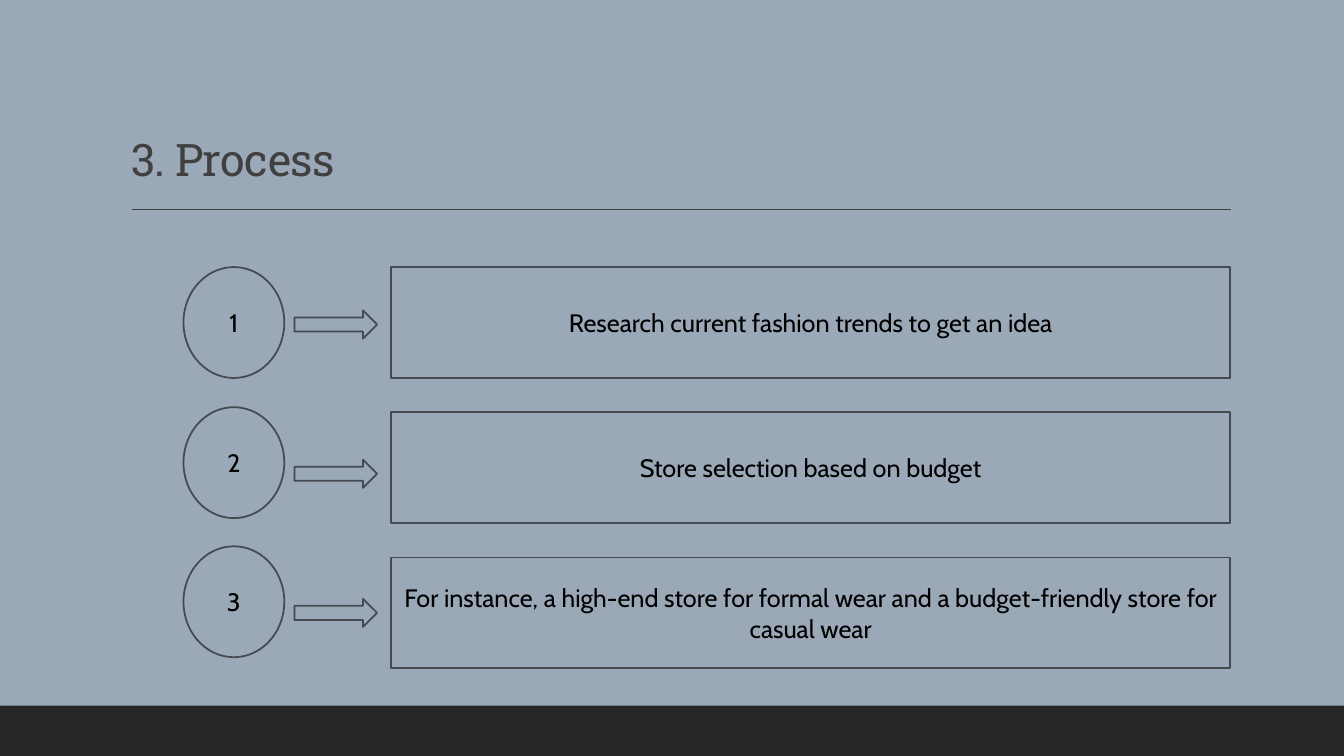
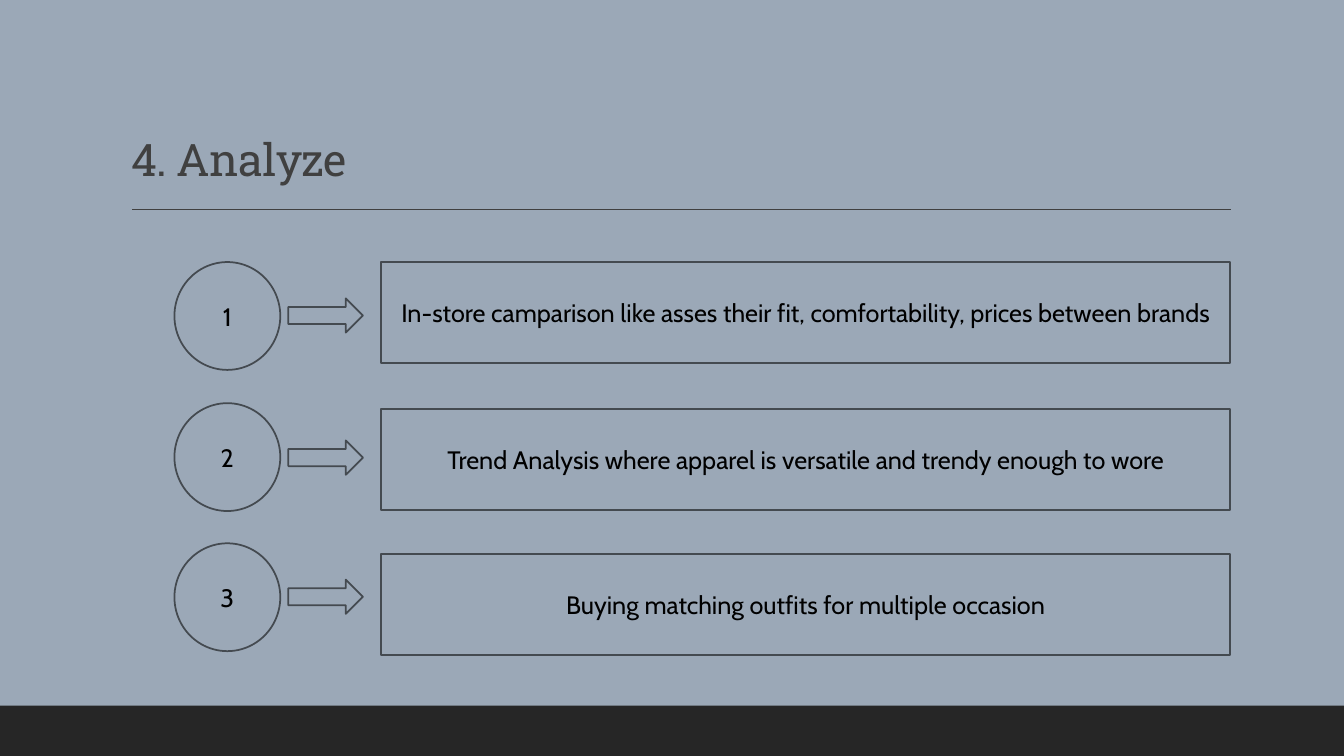
from pptx import Presentation
from pptx.dml.color import RGBColor
from pptx.enum.shapes import MSO_CONNECTOR, MSO_SHAPE
from pptx.enum.text import MSO_ANCHOR, MSO_AUTO_SIZE, PP_ALIGN
from pptx.oxml.ns import qn
from pptx.util import Inches, Pt
from lxml import etree

OVAL, ARROW, RECTANGLE = MSO_SHAPE.OVAL, MSO_SHAPE.RIGHT_ARROW, MSO_SHAPE.RECTANGLE
STRAIGHT = MSO_CONNECTOR.STRAIGHT
CENTER, LEFT = PP_ALIGN.CENTER, PP_ALIGN.LEFT
MIDDLE, BOTTOM = MSO_ANCHOR.MIDDLE, MSO_ANCHOR.BOTTOM

COLORS = {"background": "9BA8B7", "band": "262626", "title": "404040",
          "outline": "444A50", "text": "000000"}
TITLE_FONT, BODY_FONT = "Roboto Slab", "Cabin"
WIDTH, HEIGHT = 13.33, 7.5
BAND_HEIGHT = 0.5

# Content: each column of the diagram has a left edge, a size and one top per step
SLIDES = [
    {"title": "3. Process",
     "steps": ["Research current fashion trends to get an idea",
               "Store selection based on budget",
               "For instance, a high-end store for formal wear and "
               "a budget-friendly store for casual wear"],
     "circles": {"left": 1.82, "size": (1, 1.1), "tops": (2.65, 4.04, 5.42)},
     "arrows": {"left": 2.92, "size": (0.82, 0.28), "tops": (3.08, 4.56, 5.94)},
     "boxes": {"left": 3.88, "size": (8.32, 1.1), "tops": (2.65, 4.09, 5.53)}},
    {"title": "4. Analyze",
     "steps": ["In-store camparison like asses their fit, comfortability, prices between brands",
               "Trend Analysis where apparel is versatile and trendy enough to wore",
               "Buying matching outfits for multiple occasion"],
     "circles": {"left": 1.73, "size": (1.05, 1.07), "tops": (2.6, 4, 5.39)},
     "arrows": {"left": 2.86, "size": (0.74, 0.34), "tops": (2.96, 4.37, 5.75)},
     "boxes": {"left": 3.78, "size": (8.42, 1), "tops": (2.6, 4.06, 5.5)}},
]


def color(name):
    return RGBColor.from_string(COLORS[name])


def set_font(paragraph, name, size, color_name):
    paragraph.font.name = name
    paragraph.font.size = Pt(size)
    paragraph.font.color.rgb = color(color_name)


def add_filled_shape(slide, kind, left, top, width, height, fill):
    shape = slide.shapes.add_shape(kind, *map(Inches, (left, top, width, height)))
    shape.shadow.inherit = False
    shape.fill.solid()
    shape.fill.fore_color.rgb = color(fill)
    shape.line.fill.background()
    return shape


def style_layout(layout, slide):
    """Give the layout its background, title place, footer band and rule."""
    background = layout.background.fill
    background.solid()
    background.fore_color.rgb = color("background")

    title = layout.placeholders[0]
    title.left, title.top, title.width, title.height = map(Inches, (1.2, 0.31, 11, 1.59))

    band = add_filled_shape(slide, RECTANGLE, 0, HEIGHT - BAND_HEIGHT,
                            WIDTH, BAND_HEIGHT, "band")
    rule = slide.shapes.add_connector(STRAIGHT, *map(Inches, (1.31, 2.08, 12.21, 2.08)))
    rule.line.color.rgb = color("title")
    rule.line.width = Pt(1)
    etree.SubElement(rule.element.spPr, qn("a:effectLst"))
    for shape in (band, rule):
        layout.shapes.element.append(shape.element)


def write_title(slide, text):
    frame = slide.shapes.title.text_frame
    frame.text = text
    frame.vertical_anchor = BOTTOM
    frame.auto_size = MSO_AUTO_SIZE.NONE
    paragraph = frame.paragraphs[0]
    paragraph.alignment = LEFT
    paragraph.line_spacing = 0.9
    set_font(paragraph, TITLE_FONT, 32, "title")
    paragraph.runs[0].font.size = Pt(32)
    paragraph.runs[0].font._element.set("spc", "-50")


def add_column(slide, kind, column, texts):
    for top, text in zip(column["tops"], texts):
        shape = add_filled_shape(slide, kind, column["left"], top,
                                 *column["size"], "background")
        shape.line.color.rgb = color("outline")
        shape.line.width = Pt(1.25)
        if text:
            frame = shape.text_frame
            frame.text = text
            frame.word_wrap = True
            frame.vertical_anchor = MIDDLE
            paragraph = frame.paragraphs[0]
            paragraph.alignment = CENTER
            set_font(paragraph, BODY_FONT, 18, "text")


def main():
    presentation = Presentation()
    presentation.slide_width, presentation.slide_height = Inches(WIDTH), Inches(HEIGHT)
    layout = presentation.slide_layouts.get_by_name("Title Only")

    for index, content in enumerate(SLIDES):
        slide = presentation.slides.add_slide(layout)
        if index == 0:
            style_layout(layout, slide)
        write_title(slide, content["title"])
        steps = content["steps"]
        numbers = [str(number) for number in range(1, len(steps) + 1)]
        add_column(slide, OVAL, content["circles"], numbers)
        add_column(slide, ARROW, content["arrows"], [""] * len(steps))
        add_column(slide, RECTANGLE, content["boxes"], steps)

    presentation.save("out.pptx")


if __name__ == "__main__":
    main()
